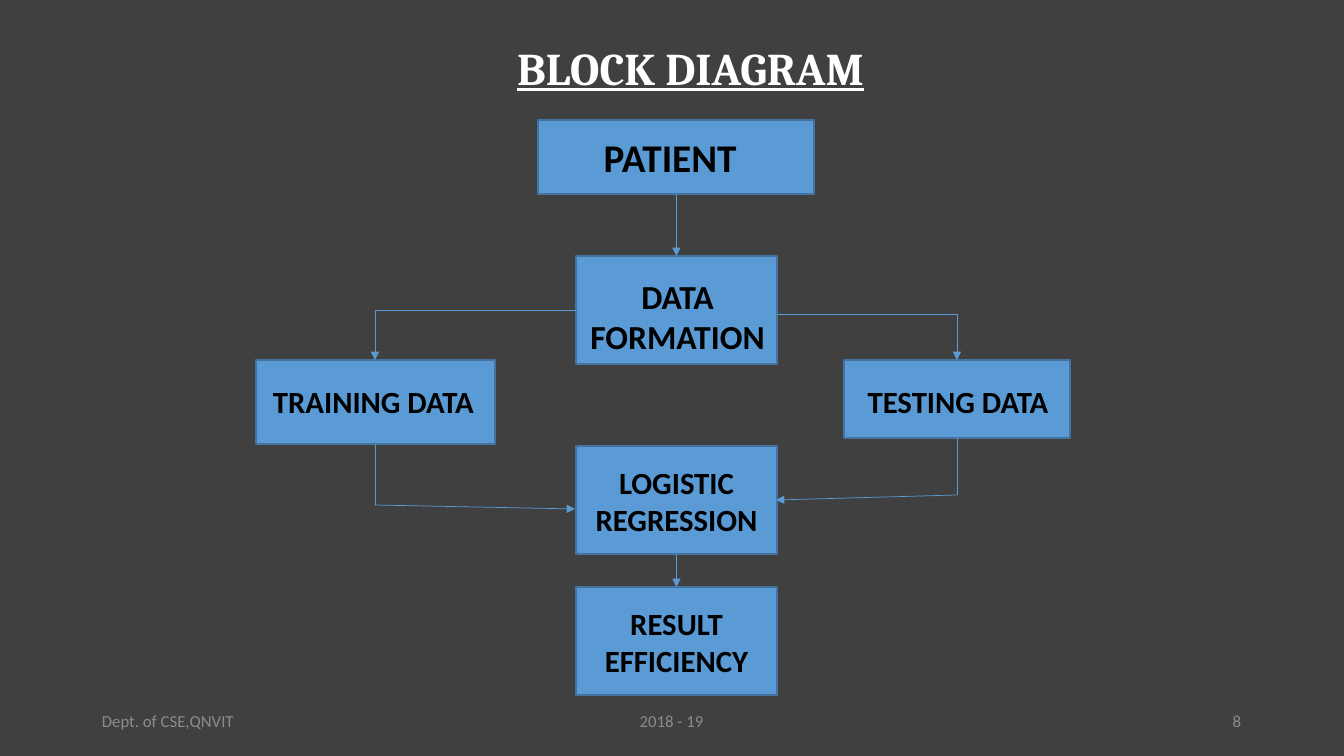
import pptx
import pptx.util
import pptx.dml.color
import pptx.enum.shapes
import pptx.enum.text
import pptx.oxml
import pptx.oxml.ns

SLIDE_WIDTH, SLIDE_HEIGHT = 1344, 756
EMU_PER_PIXEL = 12192000 / SLIDE_WIDTH
COLORS = {"background": "404040", "title": "FFFFFF", "footer": "8C8C8C",
          "block": "5B9BD5", "border": "43739E", "label": "000000"}
ALIGN = pptx.enum.text.PP_ALIGN


def emu(pixels):
    """Turn pixels into EMU."""
    return pptx.util.Emu(round(pixels * EMU_PER_PIXEL))


def color(name):
    """Look up a named colour."""
    return pptx.dml.color.RGBColor.from_string(COLORS[name])


def write(frame, text, size, color_name, align=ALIGN.CENTER, font="Calibri",
          bold=False, underline=False):
    """Write one run, vertically centred, into a text frame."""
    frame.word_wrap = True
    frame.vertical_anchor = pptx.enum.text.MSO_ANCHOR.MIDDLE
    paragraph = frame.paragraphs[0]
    paragraph.alignment = align
    run = paragraph.add_run()
    run.text = text
    run.font.name = font
    run.font.size = pptx.util.Pt(size)
    run.font.bold = bold
    run.font.underline = underline
    run.font.color.rgb = color(color_name)


def add_title(slide, left, top, width, height):
    """Add the underlined heading."""
    shape = slide.shapes.add_textbox(emu(left), emu(top), emu(width), emu(height))
    write(shape.text_frame, "BLOCK DIAGRAM", 32.4, "title", font="Cambria",
          bold=True, underline=True)


def add_footer(slide, left, top, width, height):
    """Add department, year and slide number along one line."""
    side = 302
    middle = 454
    parts = [("Dept. of CSE,QNVIT", 0, side, ALIGN.LEFT),
             ("2018 - 19", (width - middle) / 2, middle, ALIGN.CENTER),
             ("8", width - side, side, ALIGN.RIGHT)]
    for text, offset, part_width, align in parts:
        shape = slide.shapes.add_textbox(emu(left + offset), emu(top),
                                         emu(part_width), emu(height))
        write(shape.text_frame, text, 12, "footer", align)


def add_block(slide, left, top, width, height, text, size, shift_x=0, shift_y=0):
    """Add a labelled block; the shifts move its label off centre."""
    shape = slide.shapes.add_shape(pptx.enum.shapes.MSO_SHAPE.RECTANGLE,
                                   emu(left), emu(top), emu(width), emu(height))
    shape.shadow.inherit = False
    shape.fill.solid()
    shape.fill.fore_color.rgb = color("block")
    shape.line.color.rgb = color("border")
    shape.line.width = pptx.util.Pt(1)
    frame = shape.text_frame
    frame.margin_left = emu(10 + max(0, 2 * shift_x))
    frame.margin_right = emu(10 + max(0, -2 * shift_x))
    frame.margin_top = emu(5 + max(0, 2 * shift_y))
    frame.margin_bottom = emu(5 + max(0, -2 * shift_y))
    write(frame, text, size, "label", bold=True)


def add_line(slide, start, end, arrow):
    """Add a thin line, with an arrowhead at its end if asked."""
    connector = slide.shapes.add_connector(
        pptx.enum.shapes.MSO_CONNECTOR.STRAIGHT,
        *(emu(value) for value in (*start, *end)))
    connector.line.color.rgb = color("block")
    connector.line.width = pptx.util.Pt(0.5)
    if arrow:
        head = pptx.oxml.parse_xml(
            f'<a:tailEnd {pptx.oxml.ns.nsdecls("a")} type="triangle"/>')
        connector.line._get_or_add_ln().append(head)
    connector._element.spPr.append(
        pptx.oxml.parse_xml(f'<a:effectLst {pptx.oxml.ns.nsdecls("a")}/>'))


def add_diagram(slide, left, top, width, height):
    """Add the blocks and the arrows that join them."""
    step_left, step_width, step_height = 320, 201, 108
    formation_top, regression_top = 136, 326
    result_top = height - step_height
    branch_top, testing_width = 240, 226
    blocks = [
        (282, 0, 276, 74, "PATIENT", 28, -6),
        (step_left, formation_top, step_width, step_height,
         "DATA FORMATION", 24, 1, 6),
        (0, branch_top, 239, 84, "TRAINING DATA", 22, -2, -1),
        (width - testing_width, branch_top, testing_width, 78,
         "TESTING DATA", 22, 1, 2),
        (step_left, regression_top, step_width, step_height,
         "LOGISTIC REGRESSION", 22, 0, 1),
        (step_left, result_top, step_width, step_height,
         "RESULT EFFICIENCY", 22, 0, 1)]
    for x, y, *rest in blocks:
        add_block(slide, left + x, top + y, *rest)

    center = step_left + step_width / 2
    step_right = step_left + step_width
    training, testing = 119, 701
    routes = [
        [(center, 74), (center, formation_top)],
        [(step_left, 190), (training, 190), (training, branch_top)],
        [(step_right, 194), (testing, 194), (testing, branch_top)],
        [(training, 324), (training, 385), (step_left - 1, 389)],
        [(testing, 318), (testing, 375), (step_right - 1, 380)],
        [(center, regression_top + step_height), (center, result_top)]]
    for route in routes:
        points = [(left + x, top + y) for x, y in route]
        for index, (start, end) in enumerate(zip(points, points[1:])):
            add_line(slide, start, end, arrow=index == len(points) - 2)


def main():
    """Build and save the slide."""
    presentation = pptx.Presentation()
    presentation.slide_width = emu(SLIDE_WIDTH)
    presentation.slide_height = emu(SLIDE_HEIGHT)
    slide = presentation.slides.add_slide(presentation.slide_layouts[6])
    slide.background.fill.solid()
    slide.background.fill.fore_color.rgb = color("background")
    add_title(slide, 237, 17, 907, 100)
    add_footer(slide, 92, 701, 1159, 40)
    add_diagram(slide, 256, 120, 814, 575)
    presentation.save("out.pptx")


main()
